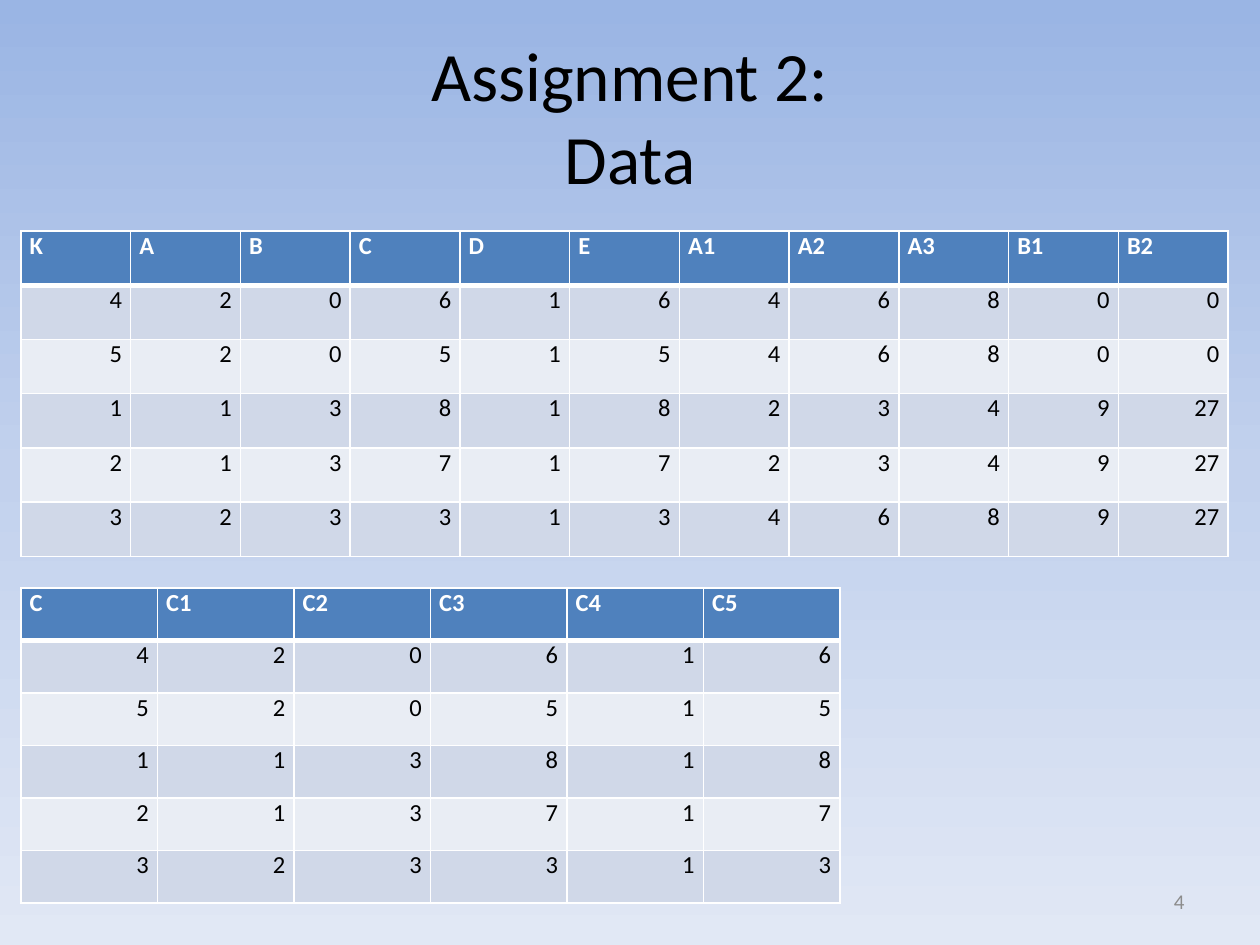
from copy import deepcopy

from lxml.etree import SubElement
from pptx import Presentation
from pptx.dml.color import RGBColor
from pptx.enum.text import MSO_ANCHOR, MSO_AUTO_SIZE, PP_ALIGN
from pptx.oxml.ns import qn
from pptx.util import Pt

# Content
TITLE = ("Assignment 2:", "Data")
PAGE = "4"
WIDE = [
    ("K", "A", "B", "C", "D", "E", "A1", "A2", "A3", "B1", "B2"),
    (4, 2, 0, 6, 1, 6, 4, 6, 8, 0, 0),
    (5, 2, 0, 5, 1, 5, 4, 6, 8, 0, 0),
    (1, 1, 3, 8, 1, 8, 2, 3, 4, 9, 27),
    (2, 1, 3, 7, 1, 7, 2, 3, 4, 9, 27),
    (3, 2, 3, 3, 1, 3, 4, 6, 8, 9, 27),
]
SMALL = [
    ("C", "C1", "C2", "C3", "C4", "C5"),
    (4, 2, 0, 6, 1, 6),
    (5, 2, 0, 5, 1, 5),
    (1, 1, 3, 8, 1, 8),
    (2, 1, 3, 7, 1, 7),
    (3, 2, 3, 3, 1, 3),
]
# Rows, left, top, width, height
TABLES = [(WIDE, 12, 132, 690, 186), (SMALL, 12, 336, 468, 180)]

# Look
FONT = "Calibri"
BLACK = RGBColor(0x00, 0x00, 0x00)
WHITE = RGBColor(0xFF, 0xFF, 0xFF)
GREY = RGBColor(0x8C, 0x8C, 0x8C)
BLUE = RGBColor(0x4F, 0x81, 0xBD)
BANDS = (RGBColor(0xD0, 0xD8, 0xE8), RGBColor(0xE9, 0xED, 0xF4))
SKY = (RGBColor(0x9A, 0xB5, 0xE4), RGBColor(0xC2, 0xD1, 0xED),
       RGBColor(0xE1, 0xE8, 0xF5))


def add_run(para, text, size, color, bold=False):
    run = para.add_run()
    run.text = text
    font = run.font
    font.name, font.size, font.bold = FONT, Pt(size), bold
    font.color.rgb = color


def place(shape, left, top, width, height):
    shape.left, shape.top = Pt(left), Pt(top)
    shape.width, shape.height = Pt(width), Pt(height)


def paint_sky(slide):
    fill = slide.background.fill
    fill.gradient()
    fill.gradient_angle = 270
    stops = next(slide.element.iter(qn("a:gsLst")))
    stops.insert(1, deepcopy(stops[0]))
    for i, (stop, color) in enumerate(zip(fill.gradient_stops, SKY)):
        stop.position = i / 2
        stop.color.rgb = color


def add_edges(cell, row):
    # The line under the header is thicker
    sides = {"L": 1, "R": 1, "T": 3 if row == 1 else 1, "B": 3 if row == 0 else 1}
    props = cell._tc.get_or_add_tcPr()
    for side, width in sides.items():
        line = SubElement(props, qn(f"a:ln{side}"), w=str(Pt(width)))
        solid = SubElement(line, qn("a:solidFill"))
        SubElement(solid, qn("a:srgbClr"), val=str(WHITE))


def fill_cell(cell, row, value):
    head = row == 0
    add_edges(cell, row)
    cell.fill.solid()
    cell.fill.fore_color.rgb = BLUE if head else BANDS[(row - 1) % 2]
    cell.margin_left = cell.margin_right = Pt(5)
    cell.margin_top = cell.margin_bottom = 0
    cell.vertical_anchor = MSO_ANCHOR.TOP
    para = cell.text_frame.paragraphs[0]
    para.alignment = PP_ALIGN.LEFT if head else PP_ALIGN.RIGHT
    add_run(para, str(value), 14, WHITE if head else BLACK, head)


def add_grid(slide, rows, left, top, width, height):
    table = slide.shapes.add_table(
        len(rows), len(rows[0]), Pt(left), Pt(top), Pt(width), Pt(height)).table
    for col in table.columns:
        col.width = Pt(round(width / len(rows[0]), 2))
    for r, row in enumerate(rows):
        table.rows[r].height = Pt(height / len(rows))
        for c, value in enumerate(row):
            fill_cell(table.cell(r, c), r, value)


def main():
    deck = Presentation()
    deck.slide_width, deck.slide_height = Pt(720), Pt(540)
    slide = deck.slides.add_slide(deck.slide_layouts[5])
    paint_sky(slide)

    # Title
    title = slide.shapes.title
    place(title, 36, 12, 648, 108)
    frame = title.text_frame
    frame.auto_size = MSO_AUTO_SIZE.NONE
    frame.vertical_anchor = MSO_ANCHOR.MIDDLE
    para = frame.paragraphs[0]
    para.alignment = PP_ALIGN.CENTER
    add_run(para, TITLE[0], 39.6, BLACK)
    para.add_line_break()
    add_run(para, TITLE[1], 39.6, BLACK)

    # Page number
    box = slide.shapes.add_textbox(Pt(516), Pt(500.5), Pt(168), Pt(28.75))
    box.text_frame.word_wrap = True
    box.text_frame.vertical_anchor = MSO_ANCHOR.MIDDLE
    para = box.text_frame.paragraphs[0]
    para.alignment = PP_ALIGN.RIGHT
    add_run(para, PAGE, 12, GREY)

    # Data tables
    for grid in TABLES:
        add_grid(slide, *grid)

    deck.save("out.pptx")


if __name__ == "__main__":
    main()
